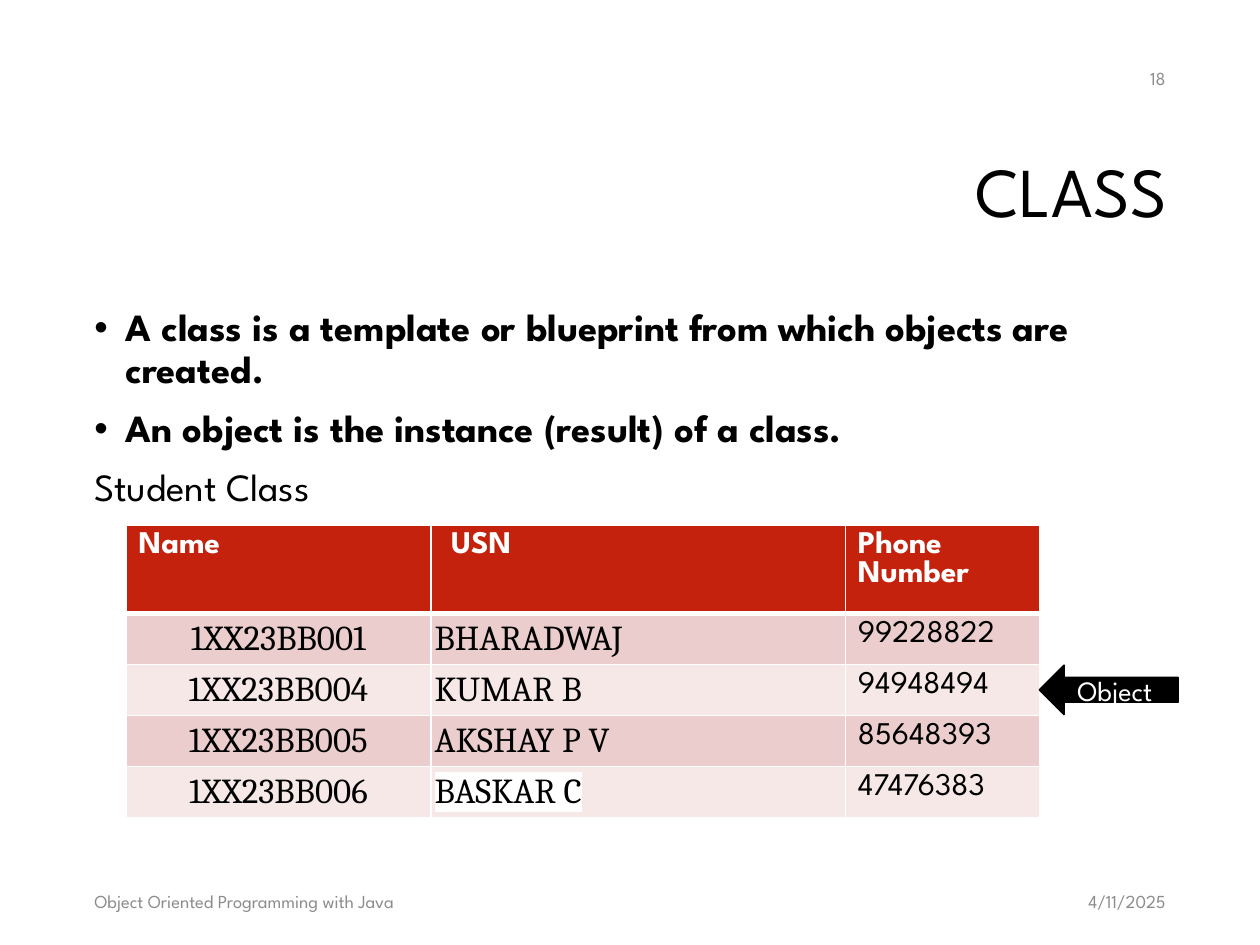
from lxml.etree import SubElement
from pptx import Presentation
from pptx.dml.color import RGBColor
from pptx.enum.shapes import MSO_SHAPE
from pptx.enum.text import MSO_ANCHOR, PP_ALIGN
from pptx.oxml import parse_xml
from pptx.oxml.ns import nsdecls, qn
from pptx.util import Inches, Pt

COLORS = {
    "ink": "000000",
    "paper": "FFFFFF",
    "muted": "8C8C8C",
    "header": "C4220D",
    "odd": "EACDCC",
    "even": "F5E8E7",
}
SANS, SERIF = "League Spartan", "Cambria"
WIDTH, HEIGHT = Inches(10), Inches(7.5)
COLUMN, ROW = WIDTH / 100, HEIGHT / 75
LEFT_EDGE, RIGHT_EDGE = 6.5, 93.5

STUDENTS = [
    ("1XX23BB001", "BHARADWAJ", "99228822"),
    ("1XX23BB004", "KUMAR B", "94948494"),
    ("1XX23BB005", "AKSHAY P V", "85648393"),
    ("1XX23BB006", "BASKAR C", "47476383"),
]


def columns(count):
    return round(count * COLUMN)


def rows(count):
    return round(count * ROW)


def area(left, top, width, height):
    return columns(left), rows(top), columns(width), rows(height)


def apply(target, **values):
    for name, value in values.items():
        setattr(target, name, value)


def write(paragraph, text, size, color="ink", face=SANS, bold=False, **layout):
    apply(paragraph, **layout)
    run = paragraph.add_run()
    run.text = text
    apply(run.font, name=face, size=Pt(size), bold=bold)
    run.font.color.rgb = RGBColor.from_string(COLORS[color])
    return run


def paint(fill, color):
    fill.solid()
    fill.fore_color.rgb = RGBColor.from_string(COLORS[color])


def add_title(slide, text):
    title = slide.shapes.title
    left, top, width, height = area(23.8, 8.4, 69.8, 14.1)
    apply(title, left=left, top=top, width=width, height=height)
    apply(title.text_frame, word_wrap=True, vertical_anchor=MSO_ANCHOR.MIDDLE)
    write(title.text_frame.paragraphs[0], text, 40,
          alignment=PP_ALIGN.RIGHT, line_spacing=0.9)


def add_label(slide, place, text, alignment):
    frame = slide.shapes.add_textbox(*area(*place)).text_frame
    apply(frame, word_wrap=True, vertical_anchor=MSO_ANCHOR.MIDDLE)
    write(frame.paragraphs[0], text, 10.5, "muted", alignment=alignment)


def add_bullet(paragraph):
    properties = paragraph._p.get_or_add_pPr()
    properties.set("marL", str(Inches(0.25)))
    properties.set("indent", str(-Inches(0.25)))
    SubElement(properties, qn("a:buFont"), typeface="Arial")
    SubElement(properties, qn("a:buChar"), char="•")


def add_definitions(slide, points, caption):
    frame = slide.shapes.add_textbox(*area(LEFT_EDGE, 24, 87, 44.5)).text_frame
    frame.word_wrap = True
    for index, text in enumerate([*points, caption]):
        paragraph = frame.add_paragraph() if index else frame.paragraphs[0]
        is_point = index < len(points)
        if is_point:
            add_bullet(paragraph)
        write(paragraph, text, 22, bold=is_point, line_spacing=0.9,
              space_before=Pt(10 if index else 0))


def add_borders(cell, **points):
    properties = cell._tc.get_or_add_tcPr()
    for index, side in enumerate("LRTB"):
        properties.insert(index, parse_xml(
            f'<a:ln{side} {nsdecls("a")} w="{Pt(points.get(side, 1))}"><a:solidFill>'
            f'<a:srgbClr val="{COLORS["paper"]}"/></a:solidFill></a:ln{side}>'))


def highlight(run, color):
    mark = parse_xml(f'<a:highlight {nsdecls("a")}>'
                     f'<a:srgbClr val="{COLORS[color]}"/></a:highlight>')
    run._r.rPr.find(qn("a:solidFill")).addnext(mark)


def add_students(slide, headings):
    widths, heights = (24.2, 32.9, 15.4), (5.5, *[4.05] * len(STUDENTS))
    table = slide.shapes.add_table(
        len(heights), len(widths),
        *area(10, 41.7, sum(widths), sum(heights))).table
    for column, width in zip(table.columns, widths):
        column.width = columns(width)
    for row, height in zip(table.rows, heights):
        row.height = rows(height)

    for index, heading in enumerate(headings):
        cell = table.cell(0, index)
        paint(cell.fill, "header")
        add_borders(cell, B=3)
        write(cell.text_frame.paragraphs[0], heading, 18, "paper", bold=True)
    table.cell(0, 1).margin_left = Inches(0.16)

    tight = dict(vertical_anchor=MSO_ANCHOR.MIDDLE, margin_left=Inches(0.03),
                 margin_right=Inches(0.03), margin_top=0, margin_bottom=0)
    styles = [
        (tight, dict(size=20, face=SERIF, alignment=PP_ALIGN.CENTER)),
        (tight, dict(size=20, face=SERIF)),
        ({}, dict(size=18)),
    ]
    for number, student in enumerate(STUDENTS, 1):
        for index, (text, (box, style)) in enumerate(zip(student, styles)):
            cell = table.cell(number, index)
            apply(cell, **box)
            paint(cell.fill, "odd" if number % 2 else "even")
            add_borders(cell, T=3 if number == 1 else 1)
            entry = write(cell.text_frame.paragraphs[0], text, **style)
            if number == len(STUDENTS) and index == 1:
                highlight(entry, "paper")


def add_pointer(slide, text):
    pointer = slide.shapes.add_shape(MSO_SHAPE.LEFT_ARROW, *area(82.5, 52.8, 11, 3.9))
    pointer.shadow.inherit = False
    paint(pointer.fill, "ink")
    paint(pointer.line.fill, "ink")
    pointer.line.width = Pt(1)
    pointer.text_frame.vertical_anchor = MSO_ANCHOR.MIDDLE
    write(pointer.text_frame.paragraphs[0], text, 16, "paper",
          alignment=PP_ALIGN.CENTER)


def main():
    deck = Presentation()
    apply(deck, slide_width=WIDTH, slide_height=HEIGHT)
    slide = deck.slides.add_slide(deck.slide_layouts.get_by_name("Title Only"))
    add_title(slide, "CLASS")
    add_definitions(slide, [
        "A class is a template or blueprint from which objects are created.",
        "An object is the instance (result) of a class.",
    ], "Student Class")
    add_label(slide, (RIGHT_EDGE - 23.4, 69.5, 23.4, 4), "4/11/2025", PP_ALIGN.RIGHT)
    add_label(slide, (LEFT_EDGE, 69.5, 62.1, 4),
              "Object Oriented Programming with Java", PP_ALIGN.LEFT)
    add_label(slide, (RIGHT_EDGE - 21.6, 4.2, 21.6, 4), "18", PP_ALIGN.RIGHT)
    add_students(slide, ["Name", "USN", "Phone Number"])
    add_pointer(slide, "Object")
    deck.save("out.pptx")


if __name__ == "__main__":
    main()
